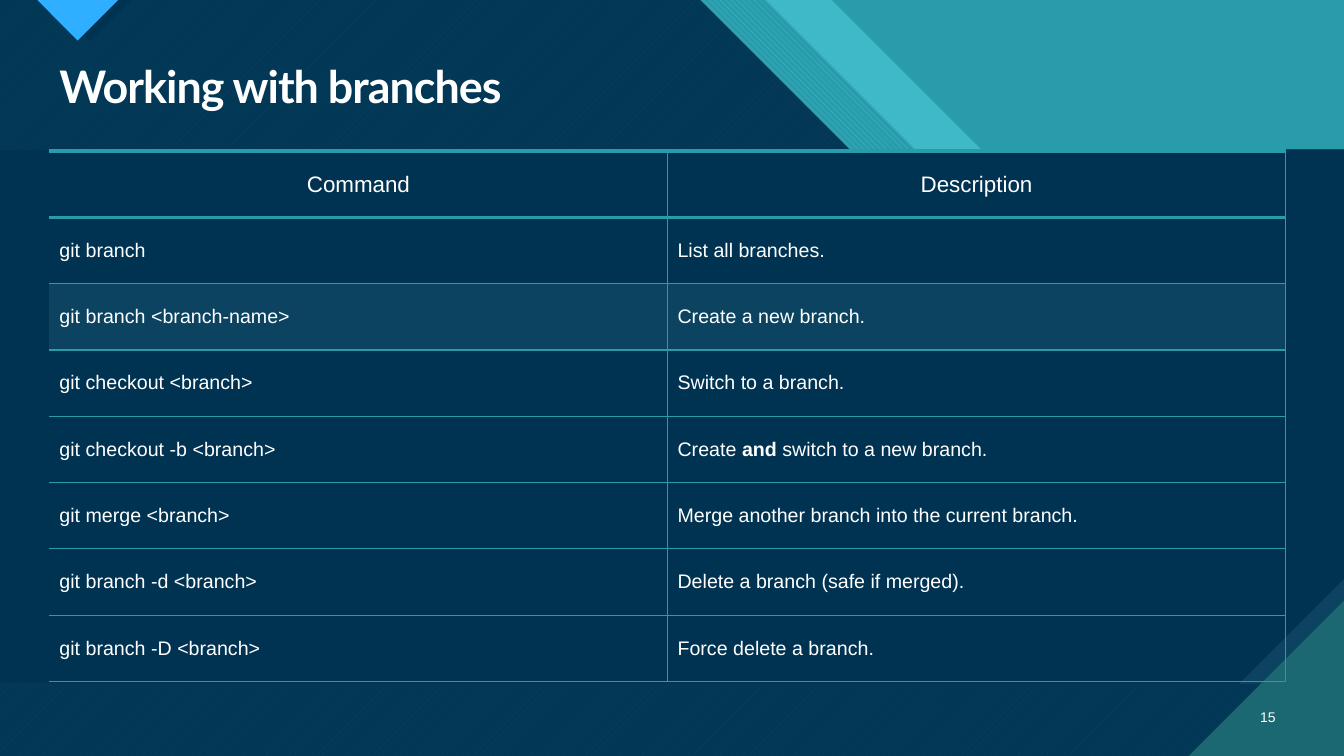
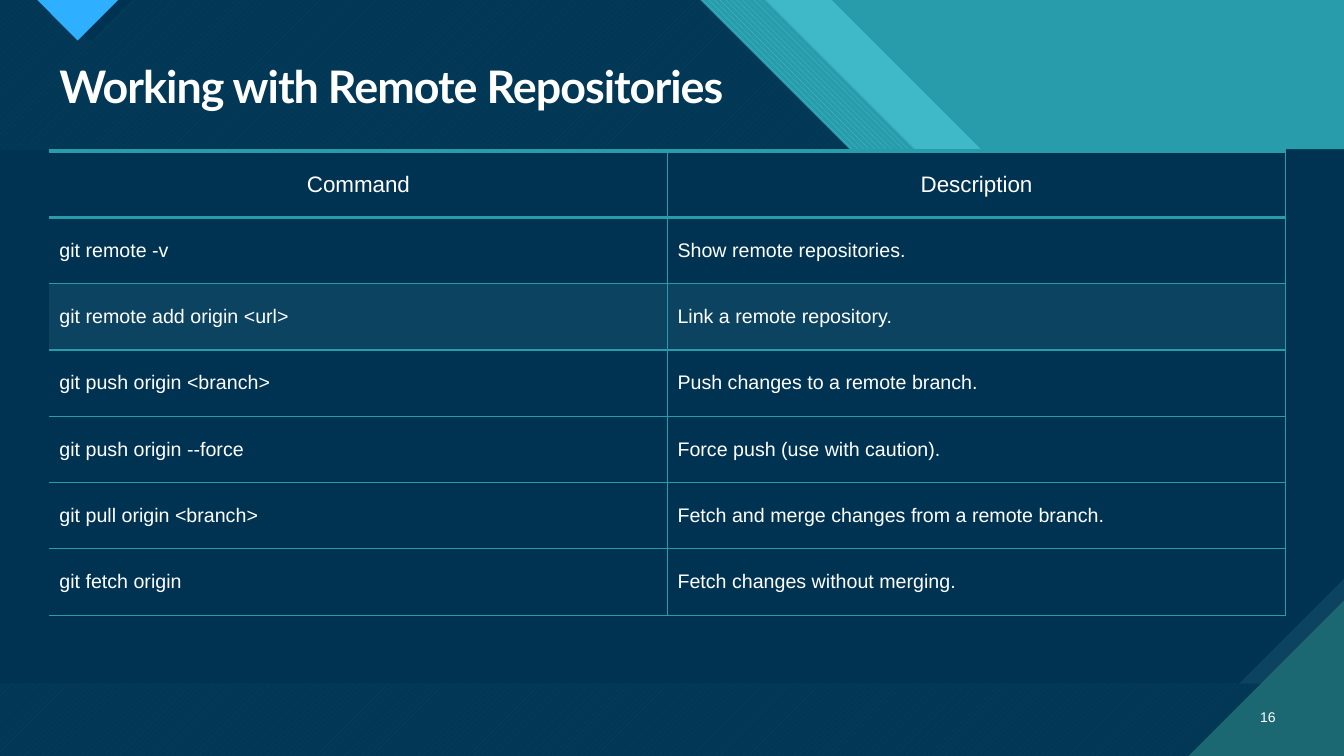
from lxml import etree
from pptx import Presentation
from pptx import util as u
from pptx.dml import color
from pptx.enum import dml, shapes, text
from pptx.oxml import ns

WIDE, HIGH = 960, 540
NAVY, BLUE, TEAL, AQUA = "003352", "0C4360", "299CAB", "47C3D3"
PINE, SKY, WHITE = "1B6872", "2FAFFF", "FFFFFF"
TOP, BASE = 106.8, 488.3
LEFT, SPAN, ROW = 35.3, 883, 47.35


def hue(code):
    return color.RGBColor.from_string(code)


class Deck:
    def __init__(self):
        self.prs = Presentation()
        self.prs.slide_width = u.Pt(WIDE)
        self.prs.slide_height = u.Pt(HIGH)
        self.slide = None

    def start(self, title, number):
        self.slide = self.prs.slides.add_slide(self.prs.slide_layouts[6])
        back = self.slide.background.fill
        back.solid()
        back.fore_color.rgb = hue(TEAL)
        self.decor()
        para = self.label(title, (LEFT, 42.5, SPAN, 42.5), 32, "Lato")
        para.font.bold = True
        para.line_spacing = 0.9
        para.runs[0]._r.get_or_add_rPr().set("spc", "-70")
        para = self.label(str(number), (886.3, 497.5, 32, 28.8), 10,
                          anchor=text.MSO_ANCHOR.MIDDLE)
        para.alignment = text.PP_ALIGN.RIGHT

    def decor(self):
        self.slant(594, AQUA, alpha=74)
        self.slant(547, AQUA, (dml.MSO_PATTERN.WIDE_DOWNWARD_DIAGONAL, TEAL))
        self.slant(500, AQUA, (dml.MSO_PATTERN.WIDE_UPWARD_DIAGONAL, PINE))
        self.slant(500, NAVY, alpha=90)
        self.poly([(34.8, 0), (94.2, 0), (64.5, 29.7)], NAVY)
        self.poly([(26.6, 0), (84.4, 0), (55.5, 28.9)], SKY)
        self.block((0, TOP, WIDE, BASE - TOP), BLUE)
        cut = 75
        self.poly([(0, TOP), (WIDE, TOP), (WIDE, BASE - cut),
                   (WIDE - cut, BASE), (0, BASE)], NAVY)
        side = 111
        self.poly([(WIDE - side, HIGH), (WIDE, HIGH), (WIDE, HIGH - side)], PINE)

    def slant(self, edge, code, hatch=None, alpha=None):
        self.poly([(0, 0), (edge, 0), (WIDE, WIDE - edge),
                   (WIDE, HIGH), (0, HIGH)], code, hatch, alpha)

    def poly(self, points, code, hatch=None, alpha=None):
        spots = [(u.Pt(x), u.Pt(y)) for x, y in points]
        pen = self.slide.shapes.build_freeform(*spots[0])
        pen.add_line_segments(spots[1:])
        self.paint(pen.convert_to_shape(), code, hatch, alpha)

    def block(self, box, code):
        self.paint(self.slide.shapes.add_shape(
            shapes.MSO_SHAPE.RECTANGLE, *map(u.Pt, box)), code)

    def paint(self, shape, code, hatch=None, alpha=None):
        shape.shadow.inherit = False
        shape.line.fill.background()
        fill = shape.fill
        if hatch:
            fill.patterned()
            fill.pattern = hatch[0]
            fill.back_color.rgb = hue(hatch[1])
        else:
            fill.solid()
        fill.fore_color.rgb = hue(code)
        if alpha:
            tint = next(shape._element.iter(ns.qn("a:srgbClr")))
            etree.SubElement(tint, ns.qn("a:alpha"), val=str(alpha * 1000))

    def style(self, para, size, face="Arial"):
        para.font.size = u.Pt(size)
        para.font.name = face
        para.font.color.rgb = hue(WHITE)

    def label(self, words, box, size, face="Arial", anchor=text.MSO_ANCHOR.TOP):
        frame = self.slide.shapes.add_textbox(*map(u.Pt, box)).text_frame
        frame.word_wrap = True
        frame.vertical_anchor = anchor
        para = frame.paragraphs[0]
        para.add_run().text = words
        self.style(para, size, face)
        return para

    def table(self, rows):
        rows = [("Command", "Description"), *rows]
        grid = self.slide.shapes.add_table(
            len(rows), 2, u.Pt(LEFT), u.Pt(108), u.Pt(SPAN),
            u.Pt(ROW * len(rows))).table
        grid.first_row = grid.horz_banding = False
        for r, row in enumerate(rows):
            grid.rows[r].height = u.Pt(ROW)
            for c, words in enumerate(row):
                self.cell(grid.cell(r, c), words, r, c)

    def cell(self, cell, words, r, c):
        self.edge(cell, "L", 1 if c else 0)
        self.edge(cell, "R", 1)
        self.edge(cell, "T", 3 if r < 2 else 1)
        self.edge(cell, "B", 3 if r == 0 else 1)
        if r == 2:
            cell.fill.solid()
            cell.fill.fore_color.rgb = hue(BLUE)
        else:
            cell.fill.background()
        cell.vertical_anchor = text.MSO_ANCHOR.MIDDLE
        para = cell.text_frame.paragraphs[0]
        for i, part in enumerate(words.split("*")):
            run = para.add_run()
            run.text = part
            if i % 2:
                run.font.bold = True
        self.style(para, 14 if r else 16)
        if r == 0:
            para.alignment = text.PP_ALIGN.CENTER

    def edge(self, cell, side, width):
        props = cell._tc.get_or_add_tcPr()
        line = etree.SubElement(props, ns.qn("a:ln" + side), w=str(u.Pt(width)))
        if width:
            fill = etree.SubElement(line, ns.qn("a:solidFill"))
            etree.SubElement(fill, ns.qn("a:srgbClr"), val=TEAL)
        else:
            etree.SubElement(line, ns.qn("a:noFill"))


BRANCH = [
    ("git branch", "List all branches."),
    ("git branch <branch-name>", "Create a new branch."),
    ("git checkout <branch>", "Switch to a branch."),
    ("git checkout -b <branch>", "Create *and* switch to a new branch."),
    ("git merge <branch>", "Merge another branch into the current branch."),
    ("git branch -d <branch>", "Delete a branch (safe if merged)."),
    ("git branch -D <branch>", "Force delete a branch."),
]
REMOTE = [
    ("git remote -v", "Show remote repositories."),
    ("git remote add origin <url>", "Link a remote repository."),
    ("git push origin <branch>", "Push changes to a remote branch."),
    ("git push origin --force", "Force push (use with caution)."),
    ("git pull origin <branch>", "Fetch and merge changes from a remote branch."),
    ("git fetch origin", "Fetch changes without merging."),
]


def main():
    deck = Deck()
    pages = [("Working with branches", BRANCH),
             ("Working with Remote Repositories", REMOTE)]
    for number, (title, rows) in enumerate(pages, 15):
        deck.start(title, number)
        deck.table(rows)
    deck.prs.save("out.pptx")


if __name__ == "__main__":
    main()
